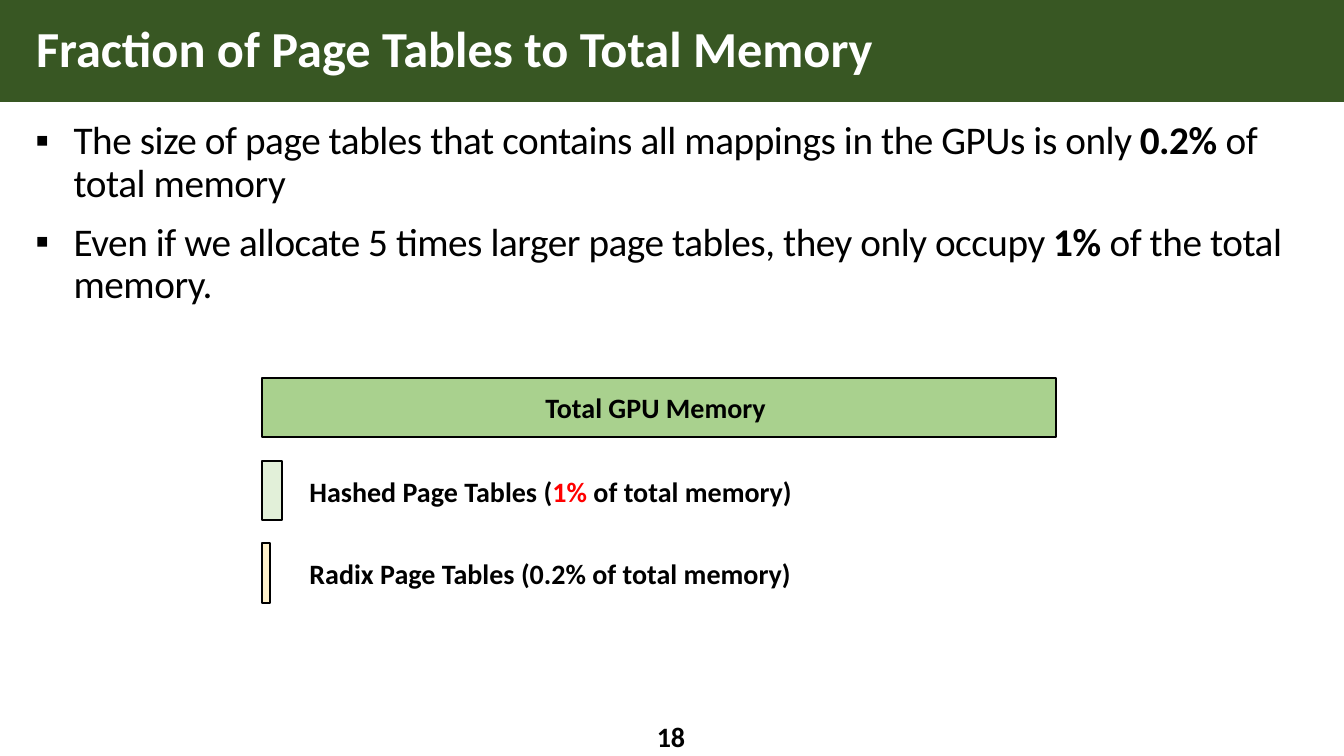
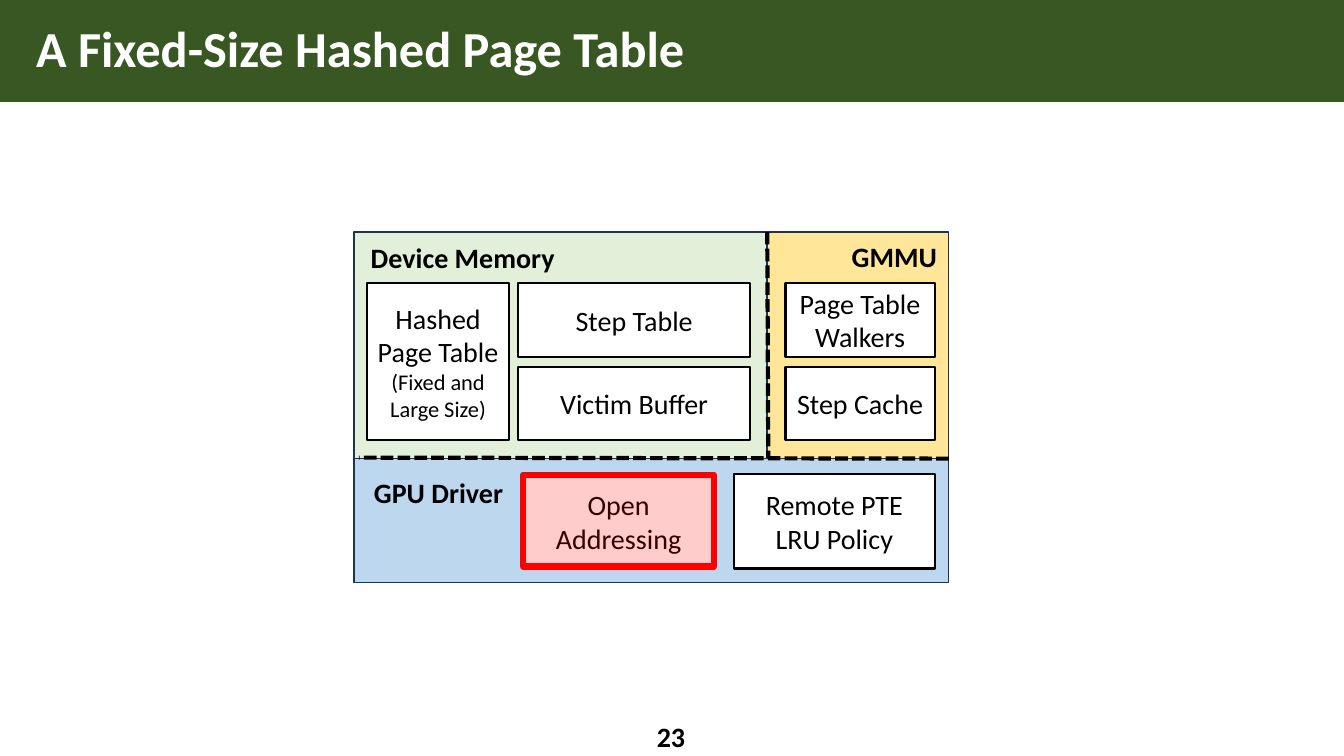
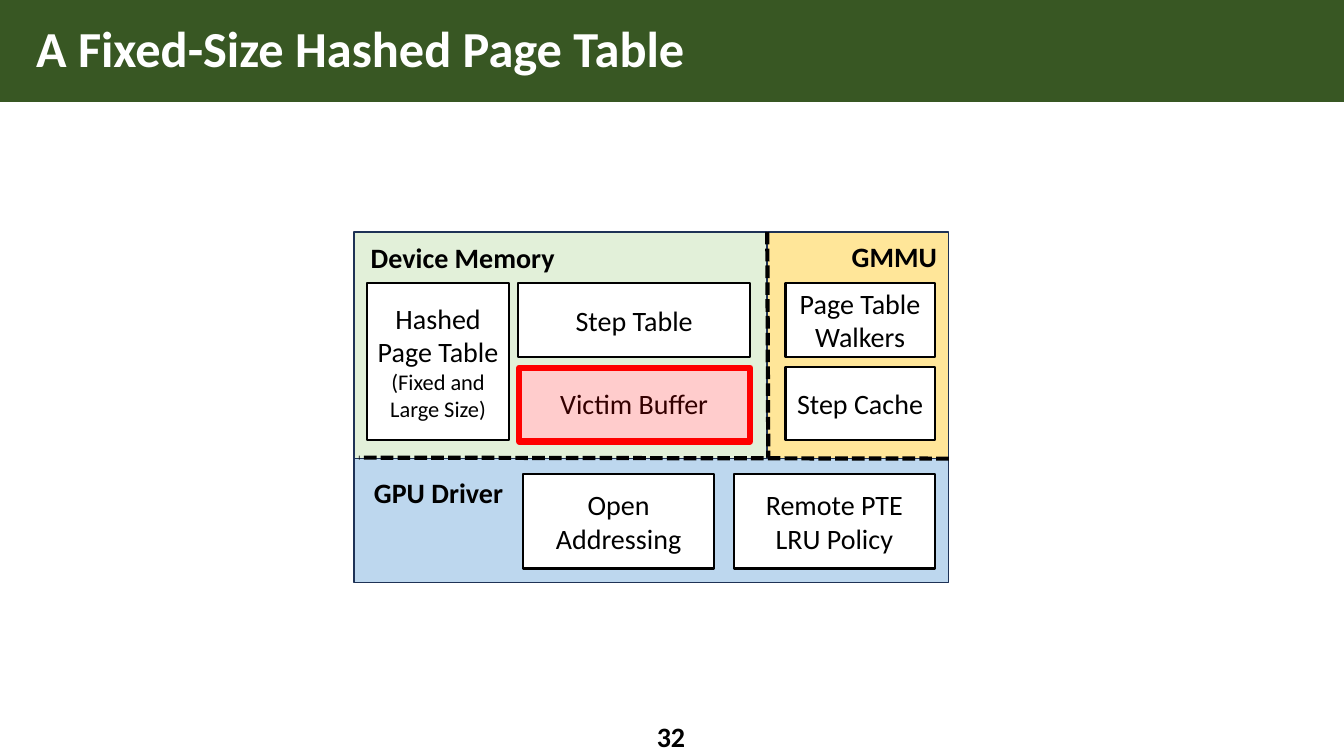
import lxml.etree
import pptx
import pptx.dml.color
import pptx.enum.dml
import pptx.enum.shapes
import pptx.enum.text
import pptx.oxml.ns
import pptx.util

Inches = pptx.util.Inches
Pt = pptx.util.Pt
ALIGN = pptx.enum.text.PP_ALIGN
ANCHOR = pptx.enum.text.MSO_ANCHOR

INK = {
    "black": "000000",
    "white": "FFFFFF",
    "red": "FF0000",
    "band": "385723",
    "green": "A9D18E",
    "pale": "E2F0D9",
    "cream": "FFF2CC",
    "gold": "FFE699",
    "blue": "BDD7EE",
    "navy": "1E3256",
}


def tint(name):
    return pptx.dml.color.RGBColor.from_string(INK[name])


def child(node, tag, **attrs):
    return lxml.etree.SubElement(node, pptx.oxml.ns.qn(tag), **attrs)


def write(frame, text, size=20, color="black", bold=False, align=ALIGN.LEFT,
          anchor=ANCHOR.MIDDLE, wrap=True, lead=None, gap=0, bullet=None,
          track=None):
    frame.word_wrap = wrap
    frame.vertical_anchor = anchor
    lines = [text] if isinstance(text, str) else text
    for index, line in enumerate(lines):
        para = frame.add_paragraph() if index else frame.paragraphs[0]
        if bullet:
            props = para._p.get_or_add_pPr()
            props.set("marL", str(Inches(0.38)))
            props.set("indent", str(Inches(-0.38)))
            child(props, "a:buFont", typeface="Arial")
            child(props, "a:buChar", char=bullet)
        para.alignment = align
        if lead:
            para.line_spacing = lead
        if index and gap:
            para.space_before = Pt(gap)
        parts = [(line, {})] if isinstance(line, str) else line
        for words, style in parts:
            run = para.add_run()
            run.text = words
            run.font.name = "Calibri"
            run.font.size = Pt(style.get("size", size))
            run.font.bold = style.get("bold", bold)
            run.font.color.rgb = tint(style.get("color", color))
            if track:
                run._r.get_or_add_rPr().set("spc", str(track))


class Deck:
    def __init__(self):
        self.show = pptx.Presentation()
        self.show.slide_width = Inches(13.33)
        self.show.slide_height = Inches(7.5)
        self.slide = None

    def start(self, title, number):
        self.slide = self.show.slides.add_slide(self.show.slide_layouts[6])
        self.rect((0, 0, 13.33, 1.01), "band")
        self.text((0.26, 0, 12.78, 1.01), title, size=36, color="white",
                  bold=True, lead=0.9)
        self.text((5.93, 7.1, 1.45, 0.4), str(number), bold=True,
                  align=ALIGN.CENTER)

    def rect(self, place, fill, line=None, width=1.5, text=None, alpha=None,
             **style):
        kind = pptx.enum.shapes.MSO_SHAPE.RECTANGLE
        shape = self.slide.shapes.add_shape(kind, *map(Inches, place))
        shape.shadow.inherit = False
        shape.fill.solid()
        shape.fill.fore_color.rgb = tint(fill)
        if alpha:
            color = shape._element.spPr.find(".//" + pptx.oxml.ns.qn("a:srgbClr"))
            child(color, "a:alpha", val=str(alpha * 1000))
        if line:
            shape.line.color.rgb = tint(line)
            shape.line.width = Pt(width)
        else:
            shape.line.fill.background()
        if text:
            write(shape.text_frame, text, **style)

    def text(self, place, text, **style):
        box = self.slide.shapes.add_textbox(*map(Inches, place))
        write(box.text_frame, text, **style)
        return box.text_frame

    def list(self, place, items):
        frame = self.text(place, items, size=28, anchor=ANCHOR.TOP, lead=0.9,
                          gap=12, bullet="▪", track=-30)
        frame.margin_left = frame.margin_top = Inches(0.08)
        frame.margin_right = Inches(0.04)
        frame.margin_bottom = 0

    def dash(self, *ends):
        kind = pptx.enum.shapes.MSO_CONNECTOR.STRAIGHT
        line = self.slide.shapes.add_connector(kind, *map(Inches, ends))
        line.line.color.rgb = tint("black")
        line.line.width = Pt(3)
        line.line.dash_style = pptx.enum.dml.MSO_LINE.SQUARE_DOT
        child(line._element.spPr, "a:effectLst")

    def mark(self, place):
        self.rect(place, "red", line="red", width=4.5, alpha=20)


def share(deck):
    deck.start("Fraction of Page Tables to Total Memory", 18)
    bold = {"bold": True}
    deck.list((0.27, 1.12, 12.78, 5.77), [
        [("The size of page tables that contains all mappings in the GPUs is only ", {}),
         ("0.2%", bold), (" of total memory", {})],
        [("Even if we allocate 5 times larger page tables, they only occupy ", {}),
         ("1%", bold), (" of the total memory.", {})],
    ])
    hashed = [[("Hashed Page Tables (", {}), ("1% ", {"color": "red"}),
               ("of total memory)", {})]]
    bars = [
        (7.87, "green", "Total GPU Memory ", None),
        (0.2, "pale", None, hashed),
        (0.08, "cream", None, "Radix Page Tables (0.2% of total memory)"),
    ]
    for row, (width, fill, name, note) in enumerate(bars):
        top = 3.75 + 0.82 * row
        deck.rect((2.6, top, width, 0.59), fill, line="black", text=name,
                  bold=True, align=ALIGN.CENTER)
        if note:
            deck.rect((2.97, top + 0.05, 5.22, 0.5), "white", text=note,
                      bold=True)


def table(deck, number, mark):
    deck.start("A Fixed-Size Hashed Page Table", number)
    zones = [
        ((3.51, 4.55, 5.9, 1.23), "blue"),
        ((7.61, 2.3, 1.8, 2.25), "gold"),
        ((3.51, 2.3, 4.1, 2.25), "pale"),
    ]
    for place, fill in zones:
        deck.rect(place, fill, line="navy", width=1)
    deck.dash(9.41, 4.55, 3.56, 4.54)
    deck.dash(7.61, 2.3, 7.62, 4.54)
    names = [
        ((3.56, 2.35, 2.06, 0.41), "Device Memory"),
        ((8.34, 2.34, 1.06, 0.41), "GMMU"),
        ((3.6, 4.68, 1.5, 0.41), "GPU Driver"),
    ]
    for place, name in names:
        deck.text(place, name, bold=True, align=ALIGN.CENTER, wrap=False)
    high, low, base = (2.81, 0.73), (3.64, 0.73), (4.7, 0.94)
    boxes = [
        (3.64, 1.41, (2.81, 1.56),
         ["Hashed Page Table", [("(Fixed and Large Size)", {"size": 16})]]),
        (5.14, 2.3, high, "Step Table"),
        (5.14, 2.3, low, "Victim Buffer"),
        (7.79, 1.48, high, "Page Table Walkers"),
        (7.79, 1.48, low, "Step Cache"),
        (5.19, 1.89, base, "Open Addressing"),
        (7.28, 1.99, base, "Remote PTE LRU Policy"),
    ]
    for left, width, (top, height), name in boxes:
        deck.rect((left, top, width, height), "white", line="black",
                  text=name, align=ALIGN.CENTER)
    deck.mark(mark)


def main():
    deck = Deck()
    share(deck)
    table(deck, 23, (5.19, 4.71, 1.89, 0.91))
    table(deck, 32, (5.15, 3.65, 2.29, 0.73))
    deck.show.save("out.pptx")


if __name__ == "__main__":
    main()
